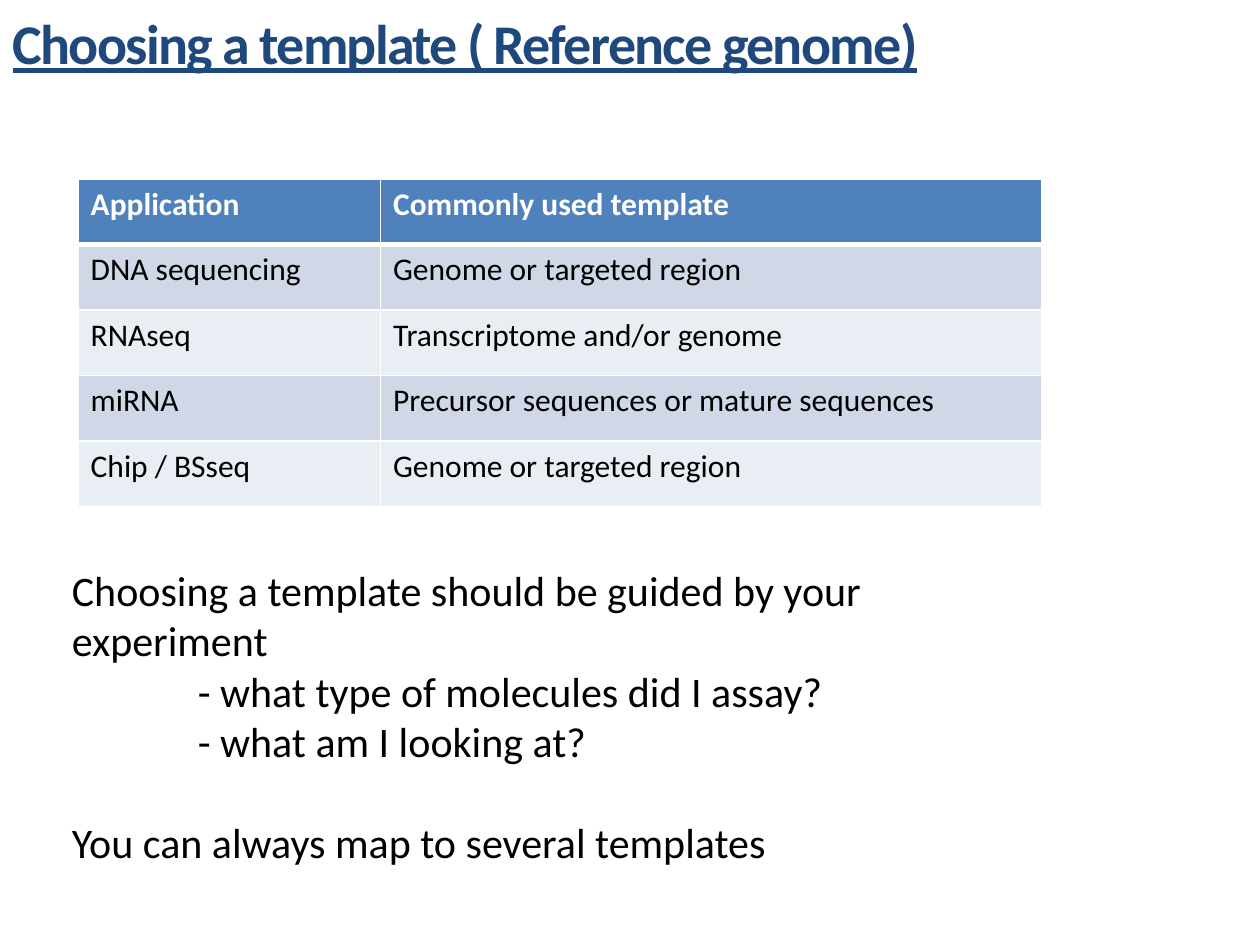
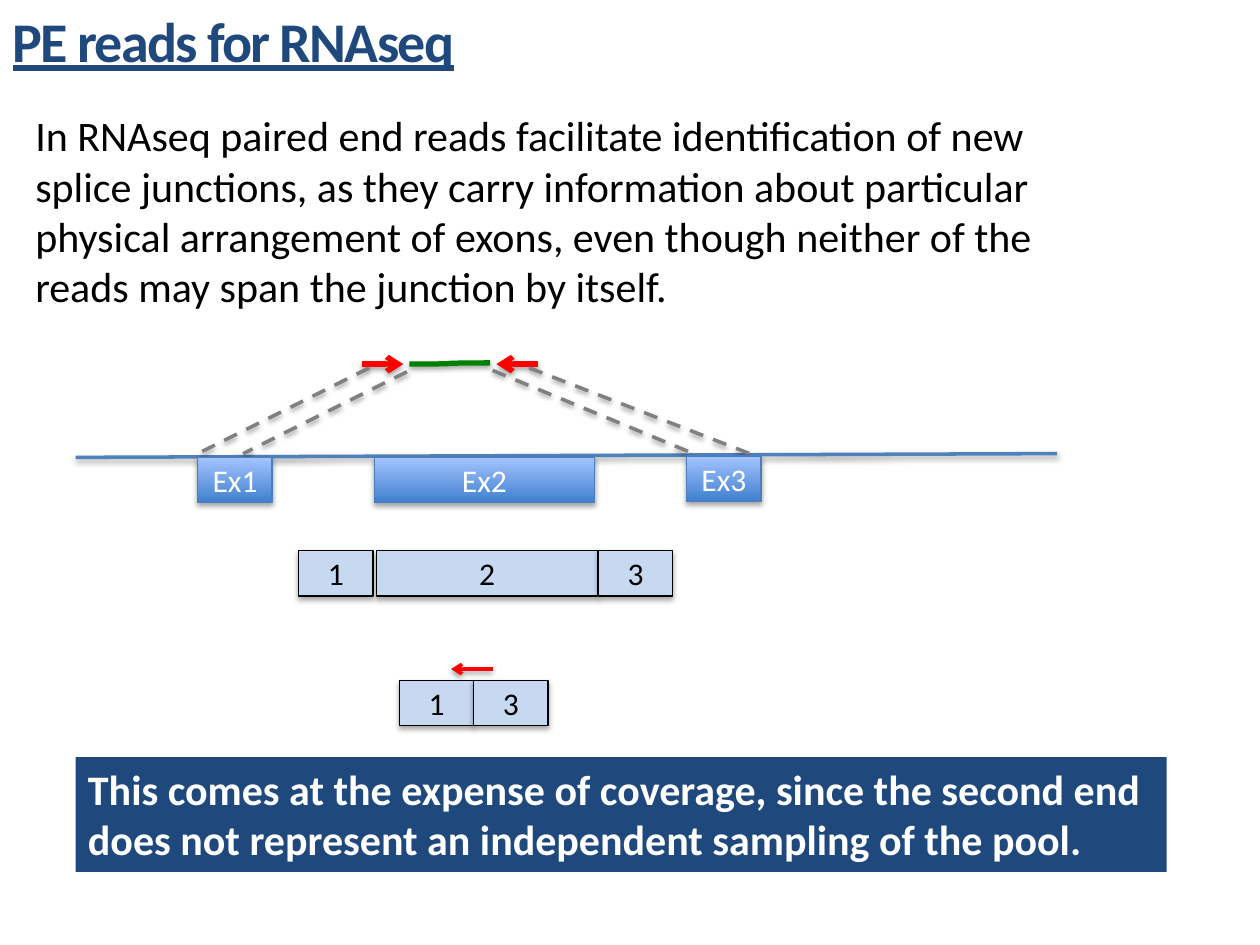
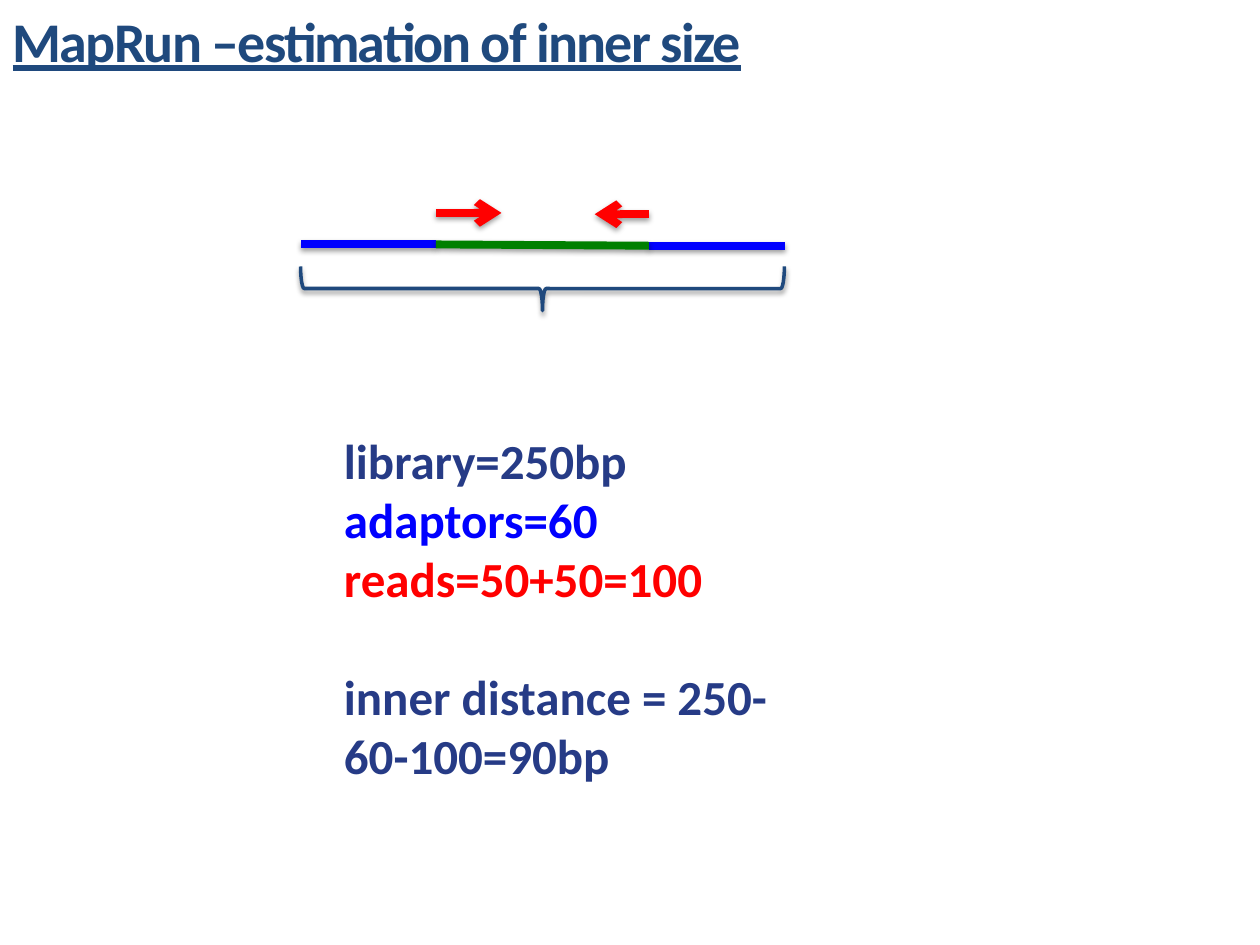
from lxml import etree
from pptx import Presentation
from pptx.dml.color import RGBColor
from pptx.enum.dml import MSO_LINE
from pptx.enum.shapes import MSO_CONNECTOR, MSO_SHAPE
from pptx.enum.text import MSO_ANCHOR, MSO_AUTO_SIZE, PP_ALIGN
from pptx.oxml import parse_xml
from pptx.oxml.ns import nsdecls, qn
from pptx.util import Inches, Pt

# Shared look
FONT = "Calibri"
NAVY, BLACK, WHITE = "1F497D", "000000", "FFFFFF"
RED, GREEN, BLUE, GRAY = "FF0000", "008000", "0000FF", "808080"
INDIGO, GENOME_BLUE, EXON_EDGE = "263B86", "4F81BD", "4B7EBC"
EXON_DARK, EXON_LIGHT, TRANSCRIPT_FILL = "3F80CE", "A4C4FF", "C6D9F1"
ROW_FILLS = ("D0D8E8", "E9EDF4")
LINE_HEIGHT = 1.22
EXON_HEIGHT, SHORT_EXON, LONG_EXON = 0.36, 0.59, 1.75


def rgb(color):
    return RGBColor.from_string(color)


def place(shape, left, top, width, height):
    shape.left, shape.top = Inches(left), Inches(top)
    shape.width, shape.height = Inches(width), Inches(height)


def add_run(paragraph, text, size, color, bold=False):
    run = paragraph.add_run()
    run.text = text
    run.font.name = FONT
    run.font.size = Pt(size)
    run.font.bold = bold
    run.font.color.rgb = rgb(color)
    return run


def add_shadow(shape, opacity, distance):
    shape._element.spPr.append(parse_xml(
        f'<a:effectLst {nsdecls("a")}>'
        f'<a:outerShdw blurRad="{Pt(3.1)}" dist="{Pt(distance)}" dir="5400000" rotWithShape="0">'
        f'<a:srgbClr val="{BLACK}"><a:alpha val="{opacity * 1000}"/></a:srgbClr>'
        '</a:outerShdw></a:effectLst>'))


def add_titled_slide(presentation, title, box=(0, 0, 8.19, 0.72)):
    slide = presentation.slides.add_slide(presentation.slide_layouts[1])
    shape = slide.shapes.title
    place(shape, *box)
    frame = shape.text_frame
    frame.auto_size = MSO_AUTO_SIZE.NONE
    frame.vertical_anchor = MSO_ANCHOR.TOP
    paragraph = frame.paragraphs[0]
    paragraph.alignment = PP_ALIGN.LEFT
    run = add_run(paragraph, title, 32, NAVY, bold=True)
    run.font.underline = True
    run._r.get_or_add_rPr().set("spc", "-100")
    return slide


def fill_body(slide, box, lines, size, bold=False):
    """Each line is (text, color, indent in inches, blank lines before)."""
    body = slide.placeholders[1]
    place(body, *box)
    frame = body.text_frame
    frame.word_wrap = True
    frame.auto_size = MSO_AUTO_SIZE.NONE
    for index, (text, color, indent, lines_before) in enumerate(lines):
        paragraph = frame.add_paragraph() if index else frame.paragraphs[0]
        paragraph.space_before = Pt(round(lines_before * size * LINE_HEIGHT))
        properties = paragraph._p.get_or_add_pPr()
        properties.set("marL", str(Inches(indent)))
        properties.set("indent", "0")
        etree.SubElement(properties, qn("a:buNone"))
        add_run(paragraph, text, size, color, bold)


def add_line(shapes, start, end, color, width, kind=MSO_CONNECTOR.STRAIGHT,
             dashed=False, arrow=False):
    connector = shapes.add_connector(kind, *map(Inches, start + end))
    connector.line.color.rgb = rgb(color)
    connector.line.width = Pt(width)
    if dashed:
        connector.line.dash_style = MSO_LINE.DASH
    if arrow:
        outline = connector.line._get_or_add_ln()
        etree.SubElement(outline, qn("a:tailEnd")).set("type", "arrow")
    add_shadow(connector, 38, 1.6)


def add_exon(slide, label, left, top, width, genomic=False):
    exon = slide.shapes.add_shape(
        MSO_SHAPE.RECTANGLE, *map(Inches, (left, top, width, EXON_HEIGHT)))
    if genomic:
        exon.fill.gradient()
        exon.fill.gradient_angle = 90
        for stop, color in zip(exon.fill.gradient_stops, (EXON_DARK, EXON_LIGHT)):
            stop.color.rgb = rgb(color)
    else:
        exon.fill.solid()
        exon.fill.fore_color.rgb = rgb(TRANSCRIPT_FILL)
    exon.line.color.rgb = rgb(EXON_EDGE if genomic else BLACK)
    exon.line.width = Pt(0.75)
    add_shadow(exon, 35, 1.8)
    exon.text_frame.vertical_anchor = MSO_ANCHOR.MIDDLE
    paragraph = exon.text_frame.paragraphs[0]
    paragraph.alignment = PP_ALIGN.CENTER
    add_run(paragraph, label, 18, WHITE if genomic else BLACK)


def add_banner(slide, text, box):
    banner = slide.shapes.add_shape(MSO_SHAPE.RECTANGLE, *map(Inches, box))
    banner.shadow.inherit = False
    banner.fill.solid()
    banner.fill.fore_color.rgb = rgb(NAVY)
    banner.line.fill.background()
    banner.text_frame.word_wrap = True
    banner.text_frame.vertical_anchor = MSO_ANCHOR.TOP
    paragraph = banner.text_frame.paragraphs[0]
    paragraph.alignment = PP_ALIGN.LEFT
    add_run(paragraph, text, 24, WHITE, bold=True)


def set_cell_borders(cell, bottom_width):
    properties = cell._tc.get_or_add_tcPr()
    for side, width in zip("LRTB", (1, 1, 1, bottom_width)):
        properties.append(parse_xml(
            f'<a:ln{side} {nsdecls("a")} w="{Pt(width)}"><a:solidFill>'
            f'<a:srgbClr val="{WHITE}"/></a:solidFill></a:ln{side}>'))


def add_striped_table(slide, rows, left, top, column_widths, row_height):
    table = slide.shapes.add_table(
        len(rows), len(column_widths), Inches(left), Inches(top),
        Inches(sum(column_widths)), Inches(row_height * len(rows))).table
    for column, width in zip(table.columns, column_widths):
        column.width = Inches(width)
    for row_index, row in enumerate(rows):
        header = row_index == 0
        fill = GENOME_BLUE if header else ROW_FILLS[(row_index - 1) % 2]
        for column_index, text in enumerate(row):
            cell = table.cell(row_index, column_index)
            set_cell_borders(cell, 3 if header else 1)
            cell.fill.solid()
            cell.fill.fore_color.rgb = rgb(fill)
            add_run(cell.text_frame.paragraphs[0], text, 18,
                    WHITE if header else BLACK, bold=header)


def build_template_slide(presentation):
    slide = add_titled_slide(
        presentation, "Choosing a template ( Reference genome)", (0, 0.02, 9.25, 0.67))
    add_striped_table(slide, [
        ("Application", "Commonly used template"),
        ("DNA sequencing", "Genome or targeted region"),
        ("RNAseq", "Transcriptome and/or genome"),
        ("miRNA", "Precursor sequences or mature sequences"),
        ("Chip / BSseq", "Genome or targeted region"),
    ], 0.62, 1.42, (2.4, 5.25), 0.52)
    fill_body(slide, (0.47, 4.43, 8.05, 2.52), [
        ("Choosing a template should be guided by your experiment", BLACK, 0, 0),
        ("- what type of molecules did I assay?", BLACK, 1, 0),
        ("- what am I looking at?", BLACK, 1, 0),
        ("You can always map to several templates", BLACK, 0, 1),
    ], 24)


def build_paired_end_slide(presentation):
    slide = add_titled_slide(presentation, "PE reads for RNAseq")
    shapes = slide.shapes
    fill_body(slide, (0.18, 0.82, 8.8, 1.72), [
        ("In RNAseq paired end reads facilitate identification of new splice junctions, "
         "as they carry information about particular physical arrangement of exons, "
         "even though neither of the reads may span the junction by itself.", BLACK, 0, 0),
    ], 24)

    # Read pair with its insert
    add_line(shapes, (4.27, 2.89), (3.94, 2.89), RED, 3, arrow=True)
    add_line(shapes, (2.87, 2.89), (3.2, 2.89), RED, 3, arrow=True)
    add_line(shapes, (3.89, 2.88), (3.25, 2.89), GREEN, 3, MSO_CONNECTOR.CURVE)

    # Genome and the places the reads map to
    add_line(shapes, (0.6, 3.63), (8.39, 3.6), GENOME_BLUE, 2)
    for read_edge, exon_edge in [
        ((2.93, 2.92), (1.57, 3.6)),
        ((3.23, 2.95), (1.93, 3.6)),
        ((3.91, 2.94), (5.6, 3.64)),
        ((4.2, 2.92), (5.95, 3.6)),
    ]:
        add_line(shapes, read_edge, exon_edge, GRAY, 2, dashed=True)

    # Genomic exons, full transcript, transcript without exon 2
    for label, left, top, width in [
        ("Ex1", 1.57, 3.63, SHORT_EXON),
        ("Ex2", 2.97, 3.63, LONG_EXON),
        ("Ex3", 5.45, 3.62, SHORT_EXON),
    ]:
        add_exon(slide, label, left, top, width, genomic=True)
    for label, left, top, width in [
        ("1", 2.37, 4.37, SHORT_EXON),
        ("2", 2.99, 4.37, LONG_EXON),
        ("3", 4.75, 4.37, SHORT_EXON),
        ("1", 3.17, 5.4, SHORT_EXON),
        ("3", 3.17 + SHORT_EXON, 5.4, SHORT_EXON),
    ]:
        add_exon(slide, label, left, top, width)
    add_line(shapes, (3.91, 5.31), (3.58, 5.31), RED, 2, arrow=True)

    add_banner(slide, "This comes at the expense of coverage, since the second end does not "
               "represent an independent sampling of the pool.", (0.6, 6.01, 8.66, 0.91))


def build_inner_size_slide(presentation):
    slide = add_titled_slide(presentation, "MapRun –estimation of inner size")

    # Library fragment: adaptors, reads and insert
    fragment = slide.shapes.add_group_shape().shapes
    for start, end, color, arrow in [
        ((5.15, 1.95), (6.23, 1.95), BLUE, False),
        ((2.39, 1.94), (3.46, 1.94), BLUE, False),
        ((5.15, 1.7), (4.72, 1.7), RED, True),
        ((3.46, 1.69), (3.98, 1.69), RED, True),
        ((3.46, 1.94), (5.15, 1.95), GREEN, False),
    ]:
        add_line(fragment, start, end, color, 4.5, arrow=arrow)

    # Brace over the whole library length
    brace = slide.shapes.add_shape(
        MSO_SHAPE.RIGHT_BRACE, *map(Inches, (4.13, 0.37, 0.35, 3.84)))
    brace.rotation = 90
    brace.fill.background()
    brace.line.color.rgb = rgb(NAVY)
    brace.line.width = Pt(2)
    add_shadow(brace, 38, 1.6)

    fill_body(slide, (2.63, 3.37, 3.82, 2.93), [
        ("library=250bp", INDIGO, 0, 0),
        ("adaptors=60", BLUE, 0, 0),
        ("reads=50+50=100", RED, 0, 0),
        ("inner distance = 250-60-100=90bp", INDIGO, 0, 1),
    ], 28, bold=True)


def main():
    presentation = Presentation()
    presentation.slide_width = Inches(10)
    presentation.slide_height = Inches(7.5)
    build_template_slide(presentation)
    build_paired_end_slide(presentation)
    build_inner_size_slide(presentation)
    presentation.save("out.pptx")


if __name__ == "__main__":
    main()
